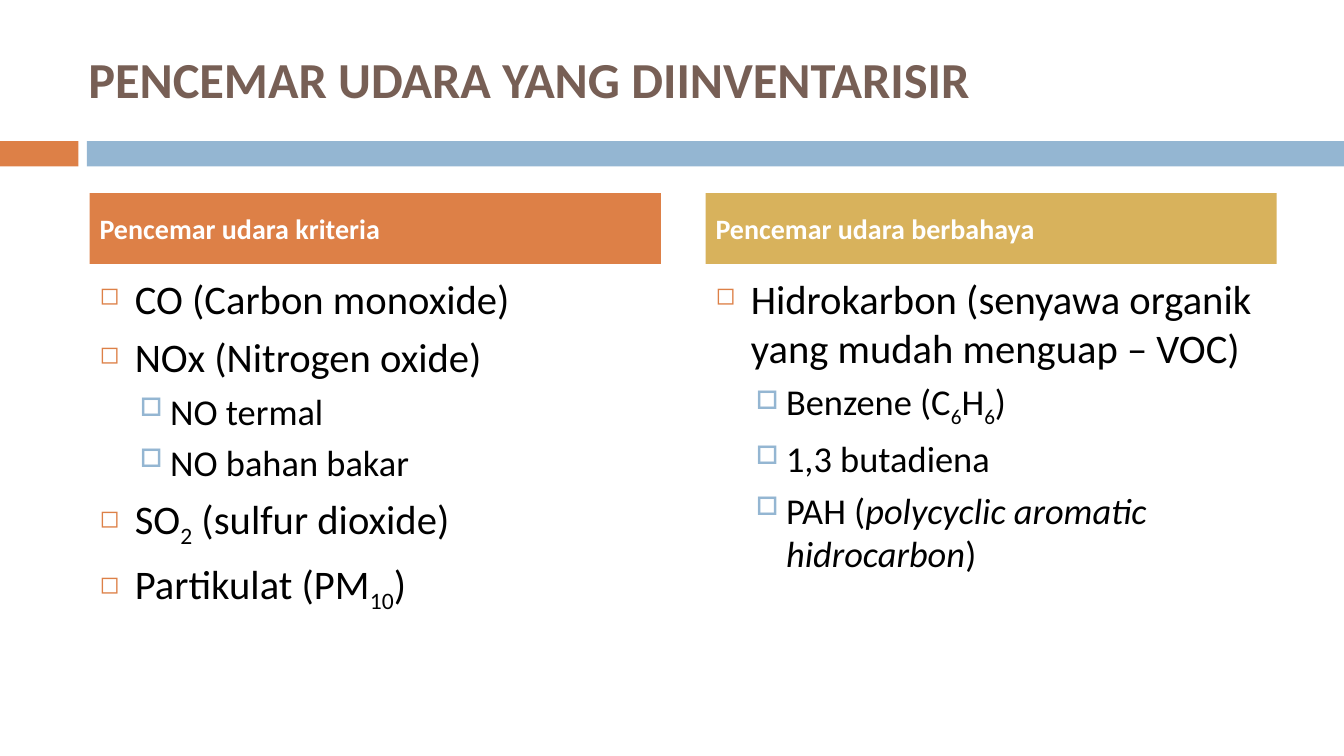
from pptx import Presentation
from pptx.dml.color import RGBColor
from pptx.enum.shapes import MSO_SHAPE as SHAPE
from pptx.enum.text import MSO_ANCHOR as ANCHOR, PP_ALIGN as ALIGN
from pptx.oxml.ns import qn
from pptx.util import Pt
from lxml.etree import SubElement

ORANGE, BLUE, GOLD, BROWN = "DD8047", "94B6D2", "D8B25C", "775F55"

# Per outline level: size, space before, left indent, hanging, bullet, colour, bullet percent
LEVELS = [
    (29, 7, 25.2, 25.2, "◻", ORANGE, 60),
    (26, 5.5, 50.4, 21.6, "□", BLUE, 70),
]

# Each item: level, then runs of (text, style)
COLUMNS = [
    (64, ORANGE, "Pencemar udara kriteria", [
        (0, [("CO (Carbon monoxide)", "")]),
        (0, [("NOx (Nitrogen oxide)", "")]),
        (1, [("NO termal", "")]),
        (1, [("NO bahan bakar", "")]),
        (0, [("SO", ""), ("2", "sub"), (" (sulfur dioxide)", "")]),
        (0, [("Partikulat (PM", ""), ("10", "sub"), (")", "")]),
    ]),
    (504, GOLD, "Pencemar udara berbahaya", [
        (0, [("Hidrokarbon (senyawa organik yang mudah menguap – VOC)", "")]),
        (1, [("Benzene (C", ""), ("6", "sub"), ("H", ""), ("6", "sub"), (")", "")]),
        (1, [("1,3 butadiena", "")]),
        (1, [("PAH (", ""), ("polycyclic aromatic hidrocarbon", "italic"), (")", "")]),
    ]),
]


def rgb(color):
    return RGBColor.from_string(color)


def add_text(p, text, size=29, color="000000", bold=False, style=""):
    r = p.add_run()
    r.text = text
    r.font.name = "Calibri"
    r.font.size = Pt(size)
    r.font.color.rgb = rgb(color)
    r.font.bold = bold
    r.font.italic = style == "italic"
    if style == "sub":
        r.font._element.set("baseline", "-25000")


prs = Presentation()
prs.slide_width, prs.slide_height = Pt(960), Pt(540)
s = prs.slides.add_slide(prs.slide_layouts[6])

# Bars below the title and column headings
bars = [(0, 100.8, 56, 18, ORANGE, ""), (62, 100.8, 898, 18, BLUE, "")]
bars += [(x, 138, 408, 50.5, color, heading) for x, color, heading, items in COLUMNS]
for x, y, w, h, color, heading in bars:
    sp = s.shapes.add_shape(SHAPE.RECTANGLE, Pt(x), Pt(y), Pt(w), Pt(h))
    sp.shadow.inherit = False
    sp.fill.solid()
    sp.fill.fore_color.rgb = rgb(color)
    sp.line.fill.background()
    if heading:
        tf = sp.text_frame
        tf.vertical_anchor = ANCHOR.MIDDLE
        tf.paragraphs[0].alignment = ALIGN.LEFT
        add_text(tf.paragraphs[0], heading, size=20, color="FFFFFF", bold=True)

# Title
tf = s.shapes.add_textbox(Pt(56), Pt(21.6), Pt(856), Pt(68.4)).text_frame
tf.word_wrap = True
tf.vertical_anchor = ANCHOR.MIDDLE
add_text(tf.paragraphs[0], "PENCEMAR UDARA YANG DIINVENTARISIR", size=36, color=BROWN, bold=True)

# Bulleted lists
for x, _, _, items in COLUMNS:
    tf = s.shapes.add_textbox(Pt(x), Pt(192), Pt(408), Pt(282)).text_frame
    tf.word_wrap = True
    for i, (level, runs) in enumerate(items):
        size, before, left, hanging, bullet, color, percent = LEVELS[level]
        p = tf.add_paragraph() if i else tf.paragraphs[0]
        p.level = level
        p.space_before = Pt(before if i else 0)
        pPr = p._p.get_or_add_pPr()
        pPr.set("marL", str(Pt(left)))
        pPr.set("indent", str(-Pt(hanging)))
        SubElement(SubElement(pPr, qn("a:buClr")), qn("a:srgbClr"), val=color)
        SubElement(pPr, qn("a:buSzPct"), val=str(percent * 1000))
        SubElement(pPr, qn("a:buChar"), char=bullet)
        for text, style in runs:
            add_text(p, text, size=size, style=style)

prs.save("out.pptx")
